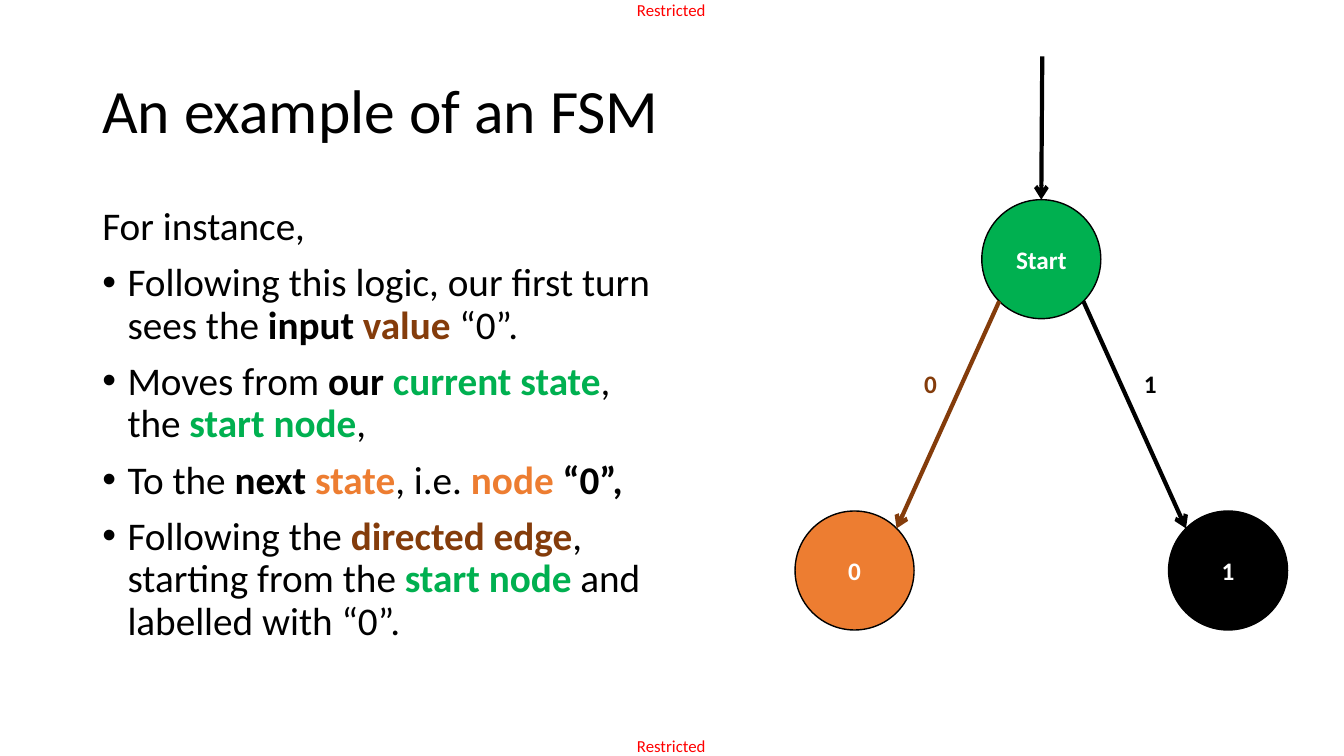
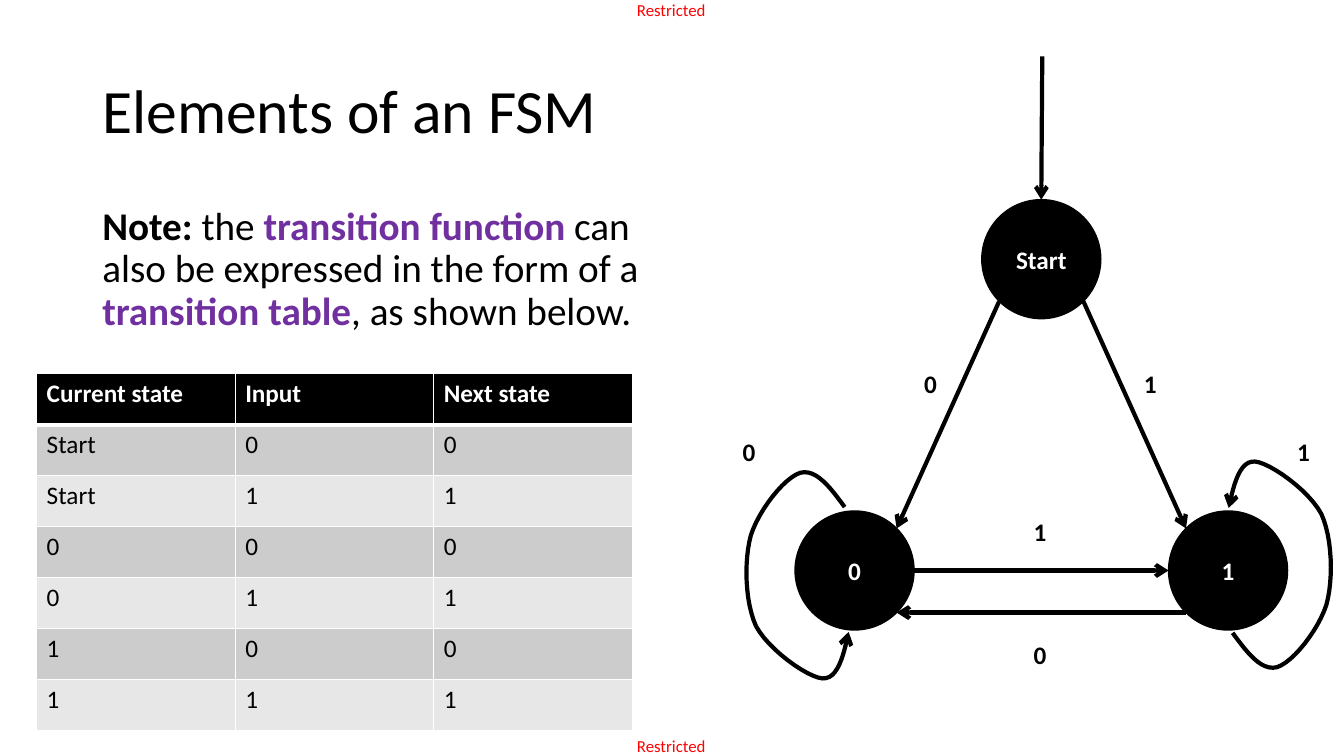
import math

from lxml import etree
from pptx import Presentation
from pptx import util as u
from pptx.dml.color import RGBColor
from pptx.enum import shapes, text
from pptx.oxml.ns import qn

BLACK, WHITE, RED = "000000", "FFFFFF", "FF0000"
GREEN, ORANGE, BROWN, PURPLE = "00B050", "ED7D31", "843C0B", "7030A0"
BANDS = ("CCCCCC", "E7E7E7")

RADIUS = 42.5
DIAGONAL = RADIUS * math.sqrt(0.5)
START = (743.8, 185.1)
ZERO = (START[0] - 133.4, 407.5)
ONE = (START[0] + 133.4, 407.5)

LOOP = [
    (603.4, 362.2),
    (593.3, 348.5), (583.2, 334.8), (571.7, 337.7),
    (560.2, 341.3), (542.2, 364.3), (536.4, 382.3),
    (531.4, 400.3), (532.1, 429.8), (540, 447.1),
    (548.6, 463.7), (576.7, 483.8), (587.5, 484.6),
    (598.3, 485.3), (602.6, 468.7), (606.2, 451.4),
]


def color(value):
    return RGBColor.from_string(value)


def bezier(points, steps=12):
    curve = [points[0]]
    for i in range(0, len(points) - 1, 3):
        a, b, c, d = points[i:i + 4]
        for step in range(1, steps + 1):
            t = step / steps
            v = 1 - t
            curve.append(tuple(
                v**3 * a[k] + 3 * v * v * t * b[k] + 3 * v * t * t * c[k] + t**3 * d[k]
                for k in (0, 1)))
    return curve


class Deck:
    font = "Calibri"

    def __init__(self):
        self.prs = Presentation()
        self.prs.slide_width, self.prs.slide_height = u.Pt(960), u.Pt(540)

    def slide(self, title):
        self.s = self.prs.slides.add_slide(self.prs.slide_layouts[6])
        for y in (0, 525.6):
            self.text(455, y, 52.8, 14.4, [("Restricted", RED)], 12, inset=False)
        tf = self.text(66, 28.8, 828, 104.4, [(title,)], 44)
        tf.vertical_anchor = text.MSO_ANCHOR.MIDDLE
        tf.paragraphs[0].line_spacing = 0.9

    def runs(self, p, parts, size):
        for content, *style in parts:
            r = p.add_run()
            r.text = content
            r.font.name, r.font.size = self.font, u.Pt(size)
            r.font.color.rgb = color(style[0] if style else BLACK)
            r.font.bold = len(style) > 1

    def text(self, x, y, w, h, parts, size, inset=True):
        tf = self.s.shapes.add_textbox(u.Pt(x), u.Pt(y), u.Pt(w), u.Pt(h)).text_frame
        tf.word_wrap = inset
        if not inset:
            tf.margin_left = tf.margin_right = tf.margin_top = tf.margin_bottom = 0
        self.runs(tf.paragraphs[0], parts, size)
        return tf

    def body(self, intro, bullets=()):
        tf = self.text(66, 144, 408, 396, intro, 28)
        tf.paragraphs[0].line_spacing = 0.9
        for parts in bullets:
            p = tf.add_paragraph()
            pPr = p._p.get_or_add_pPr()
            pPr.set("marL", str(u.Pt(18)))
            pPr.set("indent", str(-u.Pt(18)))
            etree.SubElement(pPr, qn("a:buFont")).set("typeface", "Arial")
            etree.SubElement(pPr, qn("a:buChar")).set("char", "•")
            p.line_spacing, p.space_before = 0.9, u.Pt(10)
            self.runs(p, parts, 28)

    def node(self, center, name, fill=BLACK):
        x, y = center
        sp = self.s.shapes.add_shape(
            shapes.MSO_SHAPE.OVAL, u.Pt(x - RADIUS), u.Pt(y - RADIUS),
            u.Pt(2 * RADIUS), u.Pt(2 * RADIUS))
        sp.shadow.inherit = False
        sp.fill.solid()
        sp.fill.fore_color.rgb = color(fill)
        sp.line.color.rgb, sp.line.width = color(BLACK), u.Pt(1)
        tf = sp.text_frame
        tf.vertical_anchor = text.MSO_ANCHOR.MIDDLE
        p = tf.paragraphs[0]
        p.alignment = text.PP_ALIGN.CENTER
        self.runs(p, [(name, WHITE, True)], 18)

    def label(self, x, y, name, tint=BLACK):
        self.text(x, y, 25.2, 28.8, [(name, tint, True)], 18)

    def arrow_style(self, sp, tint):
        sp.line.color.rgb, sp.line.width = color(tint), u.Pt(3)
        spPr = sp.element.spPr
        etree.SubElement(spPr.find(qn("a:ln")), qn("a:tailEnd")).set("type", "arrow")
        etree.SubElement(spPr, qn("a:effectLst"))

    def arrow(self, start, end, tint=BLACK):
        ends = [u.Pt(v) for v in (*start, *end)]
        self.arrow_style(
            self.s.shapes.add_connector(shapes.MSO_CONNECTOR.STRAIGHT, *ends), tint)

    def loop(self, points):
        first, *rest = [(u.Pt(x), u.Pt(y)) for x, y in bezier(points)]
        builder = self.s.shapes.build_freeform(*first)
        builder.add_line_segments(rest, close=False)
        sp = builder.convert_to_shape()
        sp.fill.background()
        self.arrow_style(sp, BLACK)

    def machine(self, start=BLACK, zero=BLACK, edge=BLACK):
        self.arrow((744.5, 40.3), (START[0], START[1] - RADIUS))
        self.node(START, "Start", start)
        self.node(ZERO, "0", zero)
        self.node(ONE, "1")
        for side, target, tint in ((1, ONE, BLACK), (-1, ZERO, edge)):
            self.arrow((START[0] + side * DIAGONAL, START[1] + DIAGONAL),
                       (target[0] - side * DIAGONAL, target[1] - DIAGONAL), tint)
        self.label(810, 259.2, "1")
        self.label(653, 259.2, "0", edge)

    def table(self, x, y, col, row, rows):
        tbl = self.s.shapes.add_table(
            len(rows), len(rows[0]), u.Pt(x), u.Pt(y),
            u.Pt(col * len(rows[0])), u.Pt(row * len(rows))).table
        for i, values in enumerate(rows):
            tbl.rows[i].height = u.Pt(row)
            for j, value in enumerate(values):
                cell = tbl.cell(i, j)
                self.borders(cell, top=3 if i == 1 else 1, bottom=3 if i == 0 else 1)
                cell.fill.solid()
                cell.fill.fore_color.rgb = color(BANDS[(i - 1) % 2] if i else BLACK)
                style = () if i else (WHITE, True)
                self.runs(cell.text_frame.paragraphs[0], [(value, *style)], 18)

    def borders(self, cell, top, bottom):
        tcPr = cell._tc.get_or_add_tcPr()
        for side, width in (("L", 1), ("R", 1), ("T", top), ("B", bottom)):
            ln = etree.SubElement(tcPr, qn(f"a:ln{side}"))
            ln.set("w", str(u.Pt(width)))
            fill = etree.SubElement(ln, qn("a:solidFill"))
            etree.SubElement(fill, qn("a:srgbClr")).set("val", WHITE)


def main():
    deck = Deck()

    deck.slide("An example of an FSM")
    deck.body([("For instance,",)], [
        [("Following this logic, our first turn sees the ",), ("input ", BLACK, True),
         ("value", BROWN, True), (" “0”.",)],
        [("Moves from ",), ("our ", BLACK, True), ("current state", GREEN, True),
         (", the ",), ("start node", GREEN, True), (",",)],
        [("To the ",), ("next ", BLACK, True), ("state", ORANGE, True), (", i.e. ",),
         ("node", ORANGE, True), (" “0”,", BLACK, True)],
        [("Following the ",), ("directed edge", BROWN, True), (", starting from the ",),
         ("start node", GREEN, True), (" and labelled with “0”.",)],
    ])
    deck.machine(GREEN, ORANGE, BROWN)

    deck.slide("Elements of an FSM")
    deck.body([("Note: ", BLACK, True), ("the ",), ("transition function ", PURPLE, True),
               ("can also be expressed in the form of a ",),
               ("transition table", PURPLE, True), (", as shown below.",)])
    deck.machine()
    low = ONE[1] + DIAGONAL
    deck.arrow((ONE[0] - DIAGONAL, low), (ZERO[0] + DIAGONAL, low))
    deck.arrow((ZERO[0] + RADIUS, ZERO[1]), (ONE[0] - RADIUS, ONE[1]))
    deck.label(731.2, 453, "0")
    deck.label(731.2, 365, "1")
    deck.loop(LOOP)
    deck.loop([(1483.9 - x, 814.3 - y) for x, y in LOOP])
    deck.label(919.4, 308.2, "1")
    deck.label(523.4, 308.2, "0")
    states = ("Start", "0", "1")
    deck.table(26.2, 267, 141.8, 36.4, [
        ("Current state", "Input", "Next state"),
        *((state, value, value) for state in states for value in "01"),
    ])

    deck.prs.save("out.pptx")


if __name__ == "__main__":
    main()
